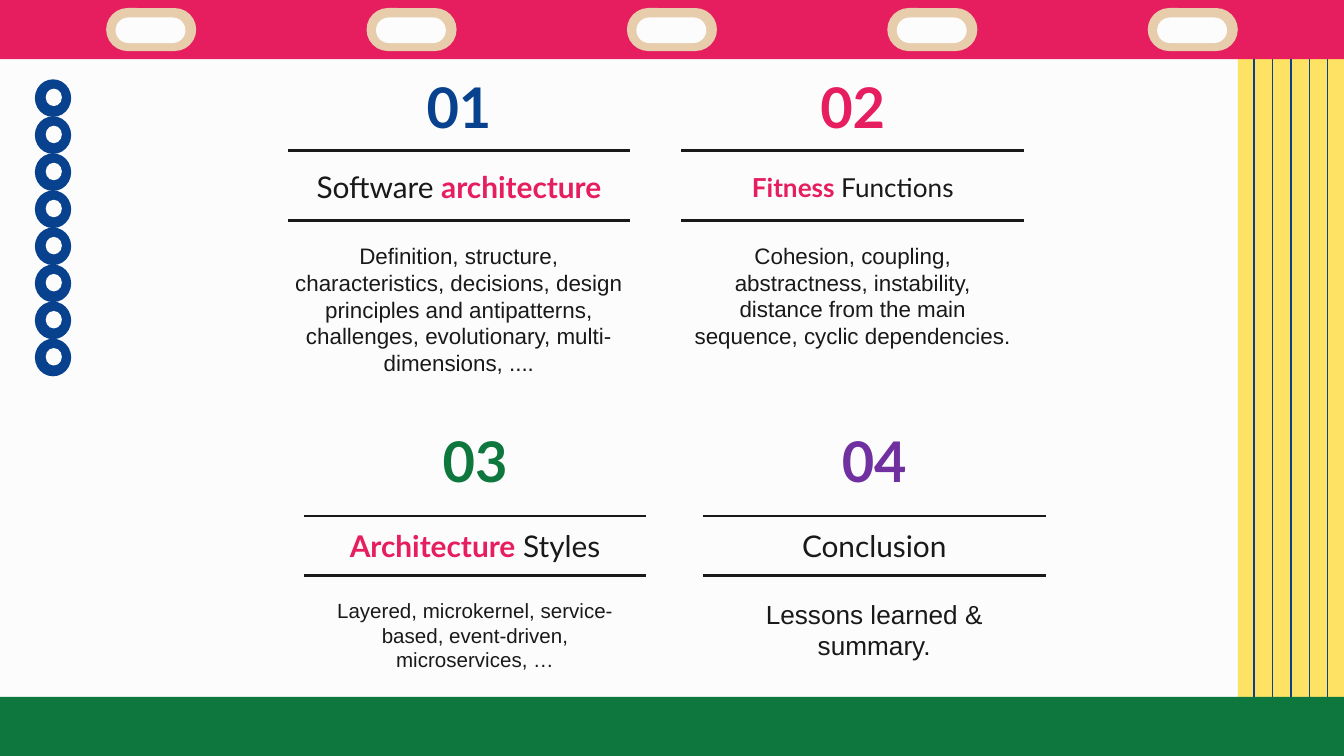
from dataclasses import dataclass

from lxml import etree
from pptx import Presentation
from pptx.dml.color import RGBColor
from pptx.enum.shapes import MSO_CONNECTOR, MSO_SHAPE
from pptx.enum.text import MSO_ANCHOR, PP_ALIGN
from pptx.oxml.ns import qn
from pptx.shapes.autoshape import Shape
from pptx.shapes.connector import Connector
from pptx.slide import Slide
from pptx.util import Inches, Pt

RECTANGLE, ROUNDED, OVAL = MSO_SHAPE.RECTANGLE, MSO_SHAPE.ROUNDED_RECTANGLE, MSO_SHAPE.OVAL
STRAIGHT = MSO_CONNECTOR.STRAIGHT
TOP, MIDDLE, BOTTOM = MSO_ANCHOR.TOP, MSO_ANCHOR.MIDDLE, MSO_ANCHOR.BOTTOM
CENTER = PP_ALIGN.CENTER

COLORS = {
    "paper": "FCFCFC",
    "ink": "191919",
    "pink": "E61D5E",
    "green": "0E773D",
    "blue": "08418E",
    "purple": "7030A0",
    "yellow": "FDE264",
    "sand": "E7CDAC",
}
WIDTH = 10
HEIGHT = WIDTH * 9 / 16
BAND_HEIGHT = 0.44
COLUMN_WIDTH = 2.55
NUMBER_WIDTH = 1.39


@dataclass(frozen=True)
class Run:
    text: str
    color: str = "ink"
    bold: bool = False


@dataclass(frozen=True)
class Style:
    font: str
    size: float
    anchor: MSO_ANCHOR
    space_after: float = 0


@dataclass(frozen=True)
class Row:
    number_top: float
    upper_rule: float
    heading_top: float
    lower_rule: float
    body_top: float


@dataclass(frozen=True)
class Topic:
    row: Row
    left: float
    number: Run
    heading: tuple[Run, ...]
    heading_size: int
    body: str
    body_size: int
    body_height: float
    body_width: float = COLUMN_WIDTH


FIRST_ROW = Row(0.49, 1.12, 1.18, 1.64, 1.7)
SECOND_ROW = Row(3.12, 3.84, 3.85, 4.28, 4.35)

TOPICS = (
    Topic(FIRST_ROW, 2.14, Run("01", "blue", True),
          (Run("Software "), Run("architecture", "pink", True)), 16,
          "Definition, structure, characteristics, decisions, design principles and "
          "antipatterns, challenges, evolutionary, multi-dimensions, ....",
          12, 1.15, 2.66),
    Topic(FIRST_ROW, 5.07, Run("02", "pink", True),
          (Run("Fitness ", "pink", True), Run("Functions")), 14,
          "Cohesion, coupling, abstractness, instability, distance from the main "
          "sequence, cyclic dependencies.", 12, 0.86),
    Topic(SECOND_ROW, 2.26, Run("03", "green", True),
          (Run("Architecture", "pink", True), Run(" Styles")), 16,
          "Layered, microkernel, service-based, event-driven, microservices, …", 11, 0.73),
    Topic(SECOND_ROW, 5.23, Run("04", "purple", True),
          (Run("Conclusion"),), 16,
          "Lessons learned & summary.", 14, 0.71),
)


def rgb(name: str) -> RGBColor:
    return RGBColor.from_string(COLORS[name])


def add_filled(slide: Slide, kind: MSO_SHAPE, left: float, top: float,
               width: float, height: float, color: str) -> Shape:
    shape = slide.shapes.add_shape(kind, Inches(left), Inches(top), Inches(width), Inches(height))
    shape.shadow.inherit = False
    shape.fill.solid()
    shape.fill.fore_color.rgb = rgb(color)
    shape.line.fill.background()
    if kind == ROUNDED:
        shape.adjustments[0] = 0.5
    return shape


def add_line(slide: Slide, start: tuple[float, float], end: tuple[float, float],
             color: str, weight: float) -> Connector:
    points = [Inches(value) for value in (*start, *end)]
    line = slide.shapes.add_connector(STRAIGHT, *points)
    line.line.color.rgb = rgb(color)
    line.line.width = Pt(weight)
    etree.SubElement(line._element.spPr, qn("a:effectLst"))
    return line


def add_text(slide: Slide, center: float, top: float, width: float, height: float,
             runs: tuple[Run, ...], style: Style) -> None:
    box = slide.shapes.add_textbox(
        Inches(center - width / 2), Inches(top), Inches(width), Inches(height))
    frame = box.text_frame
    frame_format = {"word_wrap": True, "vertical_anchor": style.anchor}
    for side in ("left", "top", "right", "bottom"):
        frame_format[f"margin_{side}"] = Inches(0.1)
    for name, value in frame_format.items():
        setattr(frame, name, value)
    paragraph = frame.paragraphs[0]
    paragraph.alignment = CENTER
    paragraph.space_after = Pt(style.space_after)
    for item in runs:
        run = paragraph.add_run()
        run.text = item.text
        for name, value in {"name": style.font, "size": Pt(style.size), "bold": item.bold}.items():
            setattr(run.font, name, value)
        run.font.color.rgb = rgb(item.color)


def add_striped_panel(slide: Slide) -> None:
    panel = add_filled(slide, RECTANGLE, 9.21, BAND_HEIGHT, 0.79, HEIGHT - BAND_HEIGHT, "yellow")
    for offset in range(-2, 3):
        x = 9.605 + offset * 0.137
        stripe = add_line(slide, (x, BAND_HEIGHT), (x, HEIGHT), "blue", 0.75)
        if offset == 0:
            stripe.begin_connect(panel, 0)
            stripe.end_connect(panel, 2)


def add_holes(slide: Slide) -> None:
    first, last, count = 0.79, 8.54, 5
    for index in range(count):
        left = first + index * (last - first) / (count - 1)
        add_filled(slide, ROUNDED, left, 0.06, 0.67, 0.32, "sand")
        add_filled(slide, ROUNDED, left + 0.07, 0.13, 0.52, 0.19, "paper")


def add_rings(slide: Slide) -> None:
    first, last, count = 0.59, 2.52, 8
    for index in range(count):
        top = first + index * (last - first) / (count - 1)
        add_filled(slide, OVAL, 0.26, top, 0.27, 0.28, "blue")
        add_filled(slide, OVAL, 0.34, top + 0.07, 0.12, 0.13, "paper")


def add_topic(slide: Slide, topic: Topic) -> None:
    row = topic.row
    center = topic.left + COLUMN_WIDTH / 2
    add_text(slide, center, row.number_top, NUMBER_WIDTH, 0.65,
             (topic.number,), Style("Lato", 30, BOTTOM))
    add_text(slide, center, row.heading_top, COLUMN_WIDTH, 0.42,
             topic.heading, Style("Lato", topic.heading_size, MIDDLE))
    add_text(slide, center, row.body_top, topic.body_width, topic.body_height,
             (Run(topic.body),), Style("Arial", topic.body_size, TOP, 16))
    for y in (row.upper_rule, row.lower_rule):
        add_line(slide, (topic.left, y), (topic.left + COLUMN_WIDTH, y), "ink", 1.5)


def main() -> None:
    presentation = Presentation()
    presentation.slide_width = Inches(WIDTH)
    presentation.slide_height = Inches(HEIGHT)
    slide = presentation.slides.add_slide(presentation.slide_layouts[6])
    slide.background.fill.solid()
    slide.background.fill.fore_color.rgb = rgb("paper")
    add_striped_panel(slide)
    add_filled(slide, RECTANGLE, 0, HEIGHT - BAND_HEIGHT, WIDTH, BAND_HEIGHT, "green")
    add_filled(slide, RECTANGLE, 0, 0, WIDTH, BAND_HEIGHT, "pink")
    add_holes(slide)
    add_rings(slide)
    for topic in TOPICS:
        add_topic(slide, topic)
    presentation.save("out.pptx")


if __name__ == "__main__":
    main()
